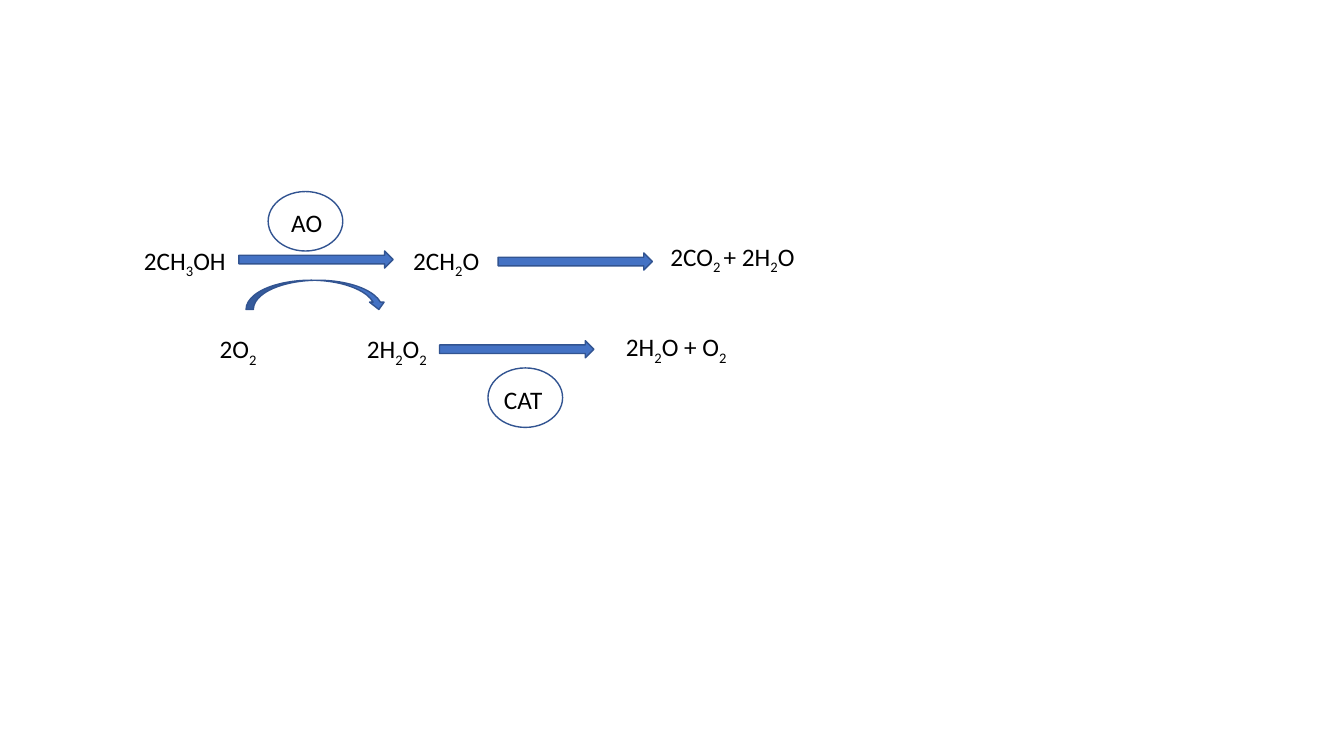
"""Build a slide showing the methanol oxidation reactions with AO and CAT."""
from pptx import Presentation
from pptx.dml.color import RGBColor
from pptx.enum.shapes import MSO_SHAPE
from pptx.enum.text import MSO_ANCHOR, MSO_AUTO_SIZE
from pptx.util import Inches, Pt

RIGHT_ARROW = MSO_SHAPE.RIGHT_ARROW
CURVED_ARROW = MSO_SHAPE.CURVED_DOWN_ARROW
ELLIPSE = MSO_SHAPE.OVAL
BLUE = RGBColor(0x44, 0x72, 0xC4)
DARK_BLUE = RGBColor(0x32, 0x54, 0x91)
BLACK = RGBColor(0, 0, 0)

prs = Presentation()
prs.slide_width = Inches(13.33)
prs.slide_height = Inches(7.5)
slide = prs.slides.add_slide(prs.slide_layouts[6])


def add_outlined(kind, left, top, width, height, fill=None):
    symbol = slide.shapes.add_shape(
        kind, Inches(left), Inches(top), Inches(width), Inches(height))
    symbol.shadow.inherit = False
    if fill is None:
        symbol.fill.background()
    else:
        symbol.fill.solid()
        symbol.fill.fore_color.rgb = fill
    symbol.line.color.rgb = DARK_BLUE
    symbol.line.width = Pt(1)


def add_formula(formula, left, top, width):
    """Write a formula whose subscripts stand between underscores."""
    label = slide.shapes.add_textbox(
        Inches(left), Inches(top), Inches(width), Inches(0.4))
    frame = label.text_frame
    frame.word_wrap = False
    frame.auto_size = MSO_AUTO_SIZE.SHAPE_TO_FIT_TEXT
    frame.vertical_anchor = MSO_ANCHOR.TOP
    paragraph = frame.paragraphs[0]
    paragraph.font.name = "Calibri"
    paragraph.font.size = Pt(18)
    paragraph.font.color.rgb = BLACK
    for position, part in enumerate(formula.split("_")):
        if part:
            run = paragraph.add_run()
            run.text = part
            if position % 2:
                run.font._element.set("baseline", "-25000")


for arrow_left, arrow_top in [(2.37, 2.49), (4.94, 2.51), (4.36, 3.38)]:
    add_outlined(RIGHT_ARROW, arrow_left, arrow_top, 1.53, 0.17, BLUE)
add_outlined(CURVED_ARROW, 2.44, 2.78, 1.39, 0.29, BLUE)

for enzyme_left, enzyme_top in [(2.66, 1.9), (4.84, 3.65)]:
    add_outlined(ELLIPSE, enzyme_left, enzyme_top, 0.74, 0.59)

for formula, left, top, width in [
    ("2CH_3_OH", 1.33, 2.38, 1.03),
    ("2CH_2_O", 4, 2.38, 0.88),
    ("2CO_2 _+ 2H_2_O", 6.55, 2.34, 1.52),
    ("AO", 2.79, 2.01, 0.51),
    ("2O_2_", 2.08, 3.26, 0.58),
    ("2H_2_O_2_", 3.54, 3.26, 0.83),
    ("CAT", 4.9, 3.76, 0.59),
    ("2H_2_O + O_2_", 6.11, 3.24, 1.23),
]:
    add_formula(formula, left, top, width)

prs.save("out.pptx")
